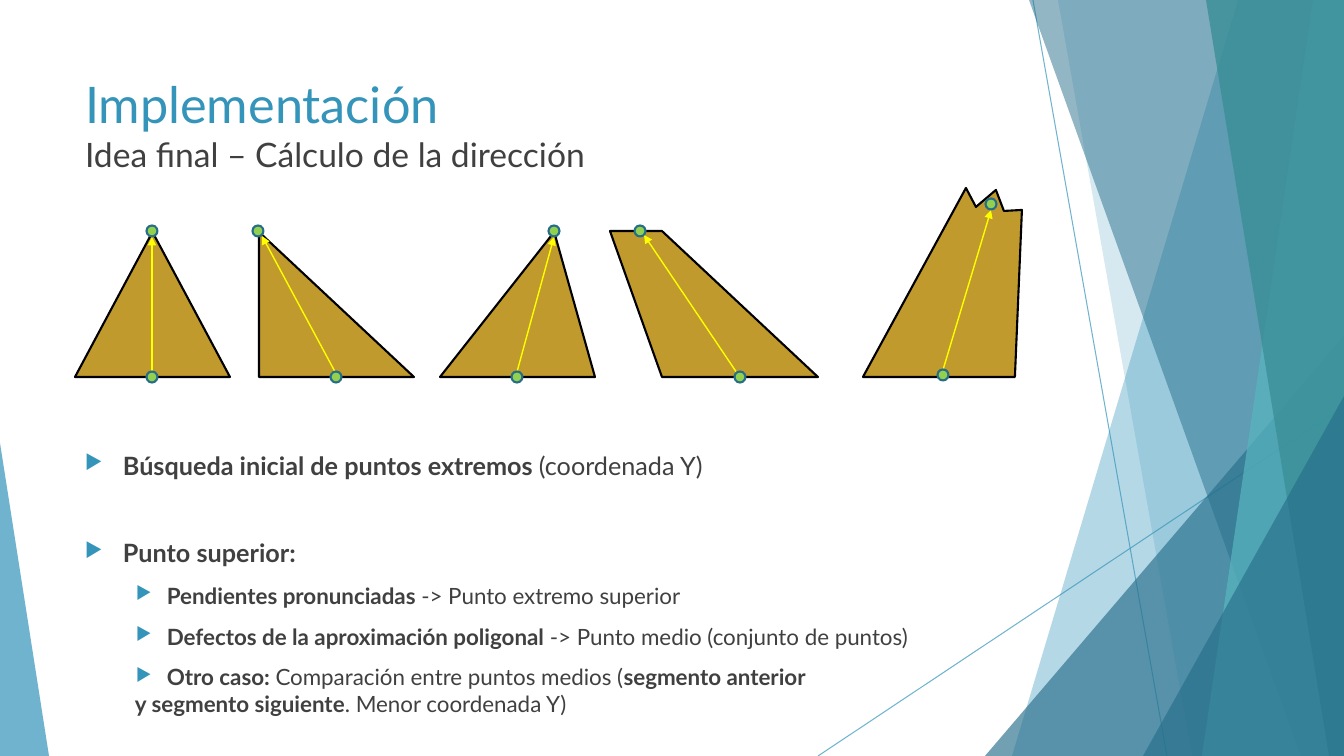
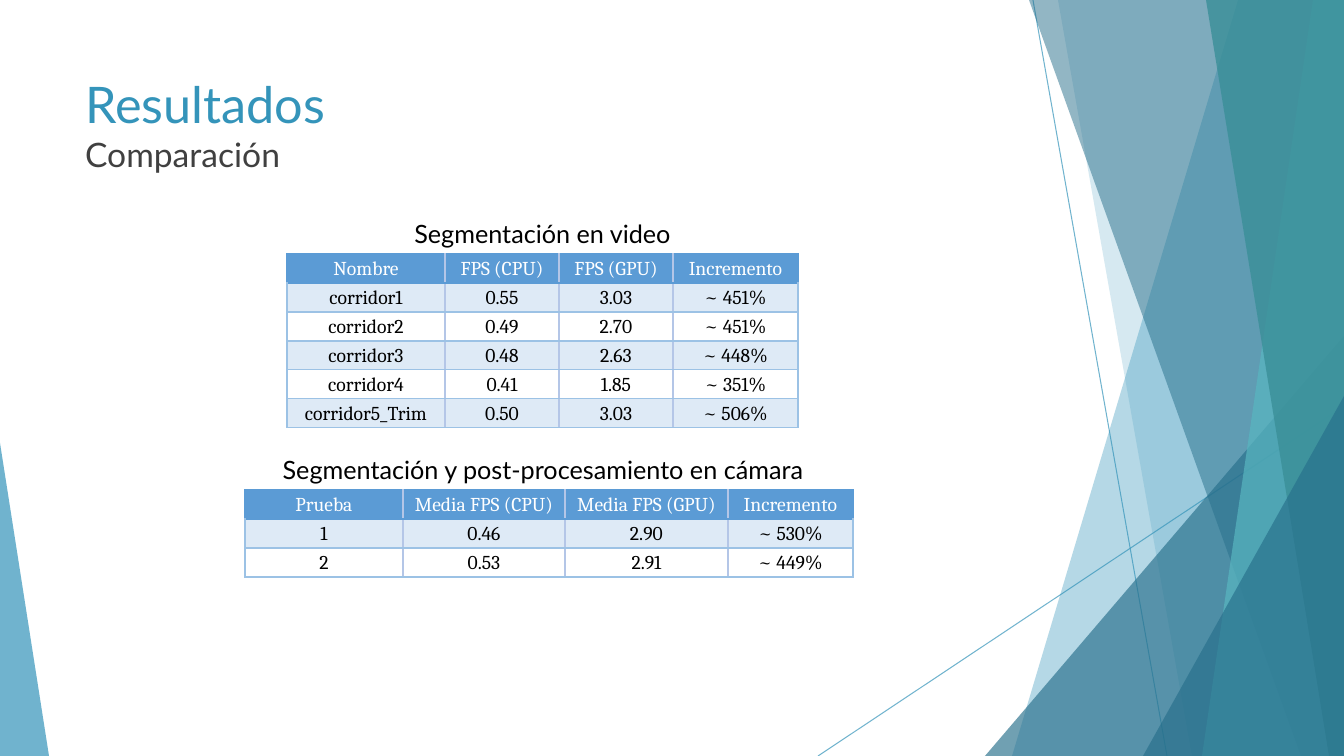
import lxml.etree
import pptx
import pptx.dml.color
import pptx.enum.shapes
import pptx.enum.text
import pptx.oxml.ns
import pptx.util

PX = 9071  # EMU in one px, at 100.8 px to the inch
WIDTH, HEIGHT = 1344, 756
TEXT_LEFT, TEXT_WIDTH = 75, 948
FONT, TABLE_FONT = "Lato", "Cambria"
BLUE, DARK_BLUE, TEAL, DARK_TEAL = "3494BA", "276F8B", "58B6C0", "3A8F98"
GREY, BLACK, WHITE = "404040", "000000", "FFFFFF"
OCHRE, YELLOW, GREEN, DOT_EDGE = "C19A2D", "FFFF00", "92D050", "266D8A"
HEADER, BAND, INNER_RULE, OUTER_RULE = "5B9BD5", "DEEAF6", "B4C6E7", "9CC2E5"

Shape = pptx.enum.shapes.MSO_SHAPE
Align = pptx.enum.text.PP_ALIGN
Anchor = pptx.enum.text.MSO_ANCHOR
qn = pptx.oxml.ns.qn


def paint(fill, colour):
    """Solid colour for a shape, line, cell or font fill."""
    fill.solid()
    fill.fore_color.rgb = pptx.dml.color.RGBColor.from_string(colour)


def draw_line(shapes, start, end, colour, width):
    line = shapes.add_connector(
        pptx.enum.shapes.MSO_CONNECTOR.STRAIGHT, *(n * PX for n in start + end))
    paint(line.line.fill, colour)
    line.line.width = pptx.util.Pt(width)
    lxml.etree.SubElement(line.element.spPr, qn("a:effectLst"))
    return line


prs = pptx.Presentation()
prs.slide_width, prs.slide_height = WIDTH * PX, HEIGHT * PX

# Title-only layout: base title size, no footer placeholders
layout = prs.slide_layouts[5]
title_style = prs.slide_master.element.find(".//" + qn("p:titleStyle"))
title_style.find(".//" + qn("a:defRPr")).set("sz", "3600")
for holder in list(layout.placeholders)[1:]:
    layout.shapes.element.remove(holder.element)

# Slides and their two-line titles
slides = []
for heading, subheading in [
    ("Implementación", "Idea final – Cálculo de la dirección"),
    ("Resultados", "Comparación"),
]:
    slide = prs.slides.add_slide(layout)
    slides.append(slide)
    title = slide.shapes.title
    title.left, title.top = TEXT_LEFT * PX, 68 * PX
    title.width, title.height = TEXT_WIDTH * PX, 145 * PX
    frame = title.text_frame
    frame.text = heading + "\v" + subheading
    frame.vertical_anchor = Anchor.TOP
    frame.auto_size = pptx.enum.text.MSO_AUTO_SIZE.NONE
    frame.paragraphs[0].alignment = Align.LEFT
    for run, size, colour in zip(frame.paragraphs[0].runs, (36, 24), (BLUE, GREY)):
        run.font.name, run.font.size = FONT, pptx.util.Pt(size)
        paint(run.font.fill, colour)
implementation, results = slides

# Facets: drawn once, then handed to the layout
facets = []
for start, end in [((1033, 0), (1167, HEIGHT)), ((WIDTH, 406), (818, HEIGHT))]:
    facets.append((draw_line(implementation.shapes, start, end, BLUE, 0.75), 70))

# Bands run to the right edge: (top x, bottom x); wedges: (box, apex)
for geometry, colour, opacity in [
    ((1238, 1012), BLUE, 36),
    ((1058, 1192), BLUE, 20),
    (((985, 336, 359, 420), 1), DARK_BLUE, 66),
    ((1029, 1301), DARK_BLUE, 50),
    ((1313, 1202), TEAL, 70),
    ((1206, 1329), DARK_TEAL, 80),
    (((1143, 396, 201, 360), 1), DARK_BLUE, 66),
    (((0, 443, 49, 313), 0), BLUE, 70),
]:
    if isinstance(geometry[0], tuple):
        box, apex = geometry
        facet = implementation.shapes.add_shape(
            Shape.ISOSCELES_TRIANGLE, *(n * PX for n in box))
        facet.adjustments[0] = apex
    else:
        top_x, bottom_x = geometry
        outline = implementation.shapes.build_freeform(top_x, 0, scale=PX)
        outline.add_line_segments([(WIDTH, 0), (WIDTH, HEIGHT), (bottom_x, HEIGHT)])
        facet = outline.convert_to_shape()
    facet.shadow.inherit = False
    paint(facet.fill, colour)
    facet.line.fill.background()
    facets.append((facet, opacity))

for position, (facet, opacity) in enumerate(facets, start=2):
    colour_node = facet.element.spPr.find(".//" + qn("a:srgbClr"))
    lxml.etree.SubElement(colour_node, qn("a:alpha"), val=str(opacity * 1000))
    layout.shapes.element.insert(position, facet.element)

# Implementación: the five obstacle outlines
obstacles = []
for left, apex in [(75, 0.5), (259, 0), (440, 0.737)]:
    obstacle = implementation.shapes.add_shape(
        Shape.ISOSCELES_TRIANGLE, left * PX, 232 * PX, 155 * PX, 145 * PX)
    obstacle.adjustments[0] = apex
    obstacles.append(obstacle)
for first, *others in [
    [(662, 377), (610, 231), (662, 231), (818, 377)],
    [(863, 377), (966, 188), (976, 207), (996, 190), (1004, 211),
     (1022, 210), (1015, 377)],
]:
    outline = implementation.shapes.build_freeform(*first, scale=PX)
    outline.add_line_segments(others)
    obstacles.append(outline.convert_to_shape())
for obstacle in obstacles:
    obstacle.shadow.inherit = False
    paint(obstacle.fill, OCHRE)
    paint(obstacle.line.fill, BLACK)
    obstacle.line.width = pptx.util.Pt(1.5)

# Direction arrows with a dot at the base and at the top
DOT = 11
for base, start, tip, top in [
    ((152, 377), (152, 372), (152, 237), (152, 231)),
    ((336, 377), (340, 381), (262, 236), (258, 231)),
    ((517, 377), (517, 372), (554, 237), (554, 231)),
    ((740, 377), (737, 373), (644, 235), (640, 231)),
    ((943, 375), (943, 370), (991, 210), (991, 204)),
]:
    direction = draw_line(implementation.shapes, start, tip, YELLOW, 1)
    lxml.etree.SubElement(
        direction.element.spPr.find(qn("a:ln")), qn("a:tailEnd"), type="triangle")
    for x, y in (base, top):
        dot = implementation.shapes.add_shape(
            Shape.OVAL, int((x - DOT / 2) * PX), int((y - DOT / 2) * PX),
            DOT * PX, DOT * PX)
        dot.shadow.inherit = False
        paint(dot.fill, GREEN)
        paint(dot.line.fill, DOT_EDGE)
        dot.line.width = pptx.util.Pt(1.5)

# Bulleted steps: (size, space before, margin, hanging indent, (text, bold) runs)
steps = implementation.shapes.add_textbox(
    TEXT_LEFT * PX, 445 * PX, TEXT_WIDTH * PX, 311 * PX).text_frame
steps.word_wrap = True
for number, (size, before, margin, hanging, pieces) in enumerate([
    (18, 0, 38, 38, [("Búsqueda inicial de puntos extremos ", True),
                     ("(coordenada Y)", False)]),
    (18, 41, 38, 38, [("Punto superior:", True)]),
    (16, 10, 82, 31, [("Pendientes pronunciadas ", True),
                      ("-> Punto extremo superior", False)]),
    (16, 10, 82, 31, [("Defectos de la aproximación poligonal ", True),
                      ("-> Punto medio (conjunto de puntos)", False)]),
    (16, 10, 82, 31, [("Otro caso: ", True),
                      ("Comparación entre puntos medios (", False),
                      ("segmento anterior", True)]),
    (16, 0, 50, 0, [("y segmento siguiente", True),
                    (". Menor coordenada Y)", False)]),
]):
    step = steps.add_paragraph() if number else steps.paragraphs[0]
    step.space_before = pptx.util.Pt(before)
    properties = step._p.get_or_add_pPr()
    properties.set("marL", str(margin * PX))
    properties.set("indent", str(-hanging * PX))
    if hanging:
        bullet_colour = lxml.etree.SubElement(properties, qn("a:buClr"))
        lxml.etree.SubElement(bullet_colour, qn("a:srgbClr"), val=BLUE)
        lxml.etree.SubElement(properties, qn("a:buSzPct"), val="80000")
        lxml.etree.SubElement(properties, qn("a:buChar"), char="▶")
    for text, bold in pieces:
        run = step.add_run()
        run.text = text
        run.font.name, run.font.size = FONT, pptx.util.Pt(size)
        run.font.bold = bold
        paint(run.font.fill, GREY)

# Resultados: captioned tables
ROW = 29
for caption, caption_box, left, top, columns, rows in [
    ("Segmentación en video", (287, 213, 511, 40), 287, 254, (158, 114, 114, 125), [
        ("Nombre", "FPS (CPU)", "FPS (GPU)", "Incremento"),
        ("corridor1", "0.55", "3.03", "~ 451%"),
        ("corridor2", "0.49", "2.70", "~ 451%"),
        ("corridor3", "0.48", "2.63", "~ 448%"),
        ("corridor4", "0.41", "1.85", "~ 351%"),
        ("corridor5_Trim", "0.50", "3.03", "~ 506%"),
    ]),
    ("Segmentación y post-procesamiento en cámara", (256, 449, 574, 40),
     245, 490, (158, 162, 163, 125), [
        ("Prueba", "Media FPS (CPU)", "Media FPS (GPU)", "Incremento"),
        ("1", "0.46", "2.90", "~ 530%"),
        ("2", "0.53", "2.91", "~ 449%"),
    ]),
]:
    label = results.shapes.add_textbox(*(n * PX for n in caption_box)).text_frame
    label.word_wrap = True
    label.text = caption
    label.paragraphs[0].alignment = Align.CENTER
    run = label.paragraphs[0].runs[0]
    run.font.name, run.font.size = FONT, pptx.util.Pt(18)
    paint(run.font.fill, BLACK)

    rates = results.shapes.add_table(
        len(rows), len(columns), left * PX, top * PX,
        sum(columns) * PX, len(rows) * ROW * PX).table
    for column, width in zip(rates.columns, columns):
        column.width = width * PX
    for r, values in enumerate(rows):
        rates.rows[r].height = ROW * PX
        for c, value in enumerate(values):
            cell = rates.cell(r, c)
            cell.text = value
            cell.vertical_anchor = Anchor.MIDDLE
            cell.margin_left = cell.margin_right = 7 * PX
            cell.margin_top = cell.margin_bottom = 0
            paragraph = cell.text_frame.paragraphs[0]
            paragraph.alignment = Align.CENTER
            paragraph.line_spacing = 1.07
            font = paragraph.runs[0].font
            font.name, font.size, font.bold = TABLE_FONT, pptx.util.Pt(14), False
            paint(font.fill, BLACK if r else WHITE)

            # Borders come before the fill in the cell properties
            edge = OUTER_RULE if r else HEADER
            for side, colour in [
                ("a:lnL", INNER_RULE if c else edge),
                ("a:lnR", INNER_RULE if c < len(columns) - 1 else edge),
                ("a:lnT", OUTER_RULE if r > 1 else HEADER),
                ("a:lnB", edge),
            ]:
                border = lxml.etree.SubElement(
                    cell._tc.get_or_add_tcPr(), qn(side), w=str(pptx.util.Pt(1)))
                border_fill = lxml.etree.SubElement(border, qn("a:solidFill"))
                lxml.etree.SubElement(border_fill, qn("a:srgbClr"), val=colour)
            if r % 2 or r == 0:
                paint(cell.fill, BAND if r else HEADER)
            else:
                cell.fill.background()

prs.save("out.pptx")
